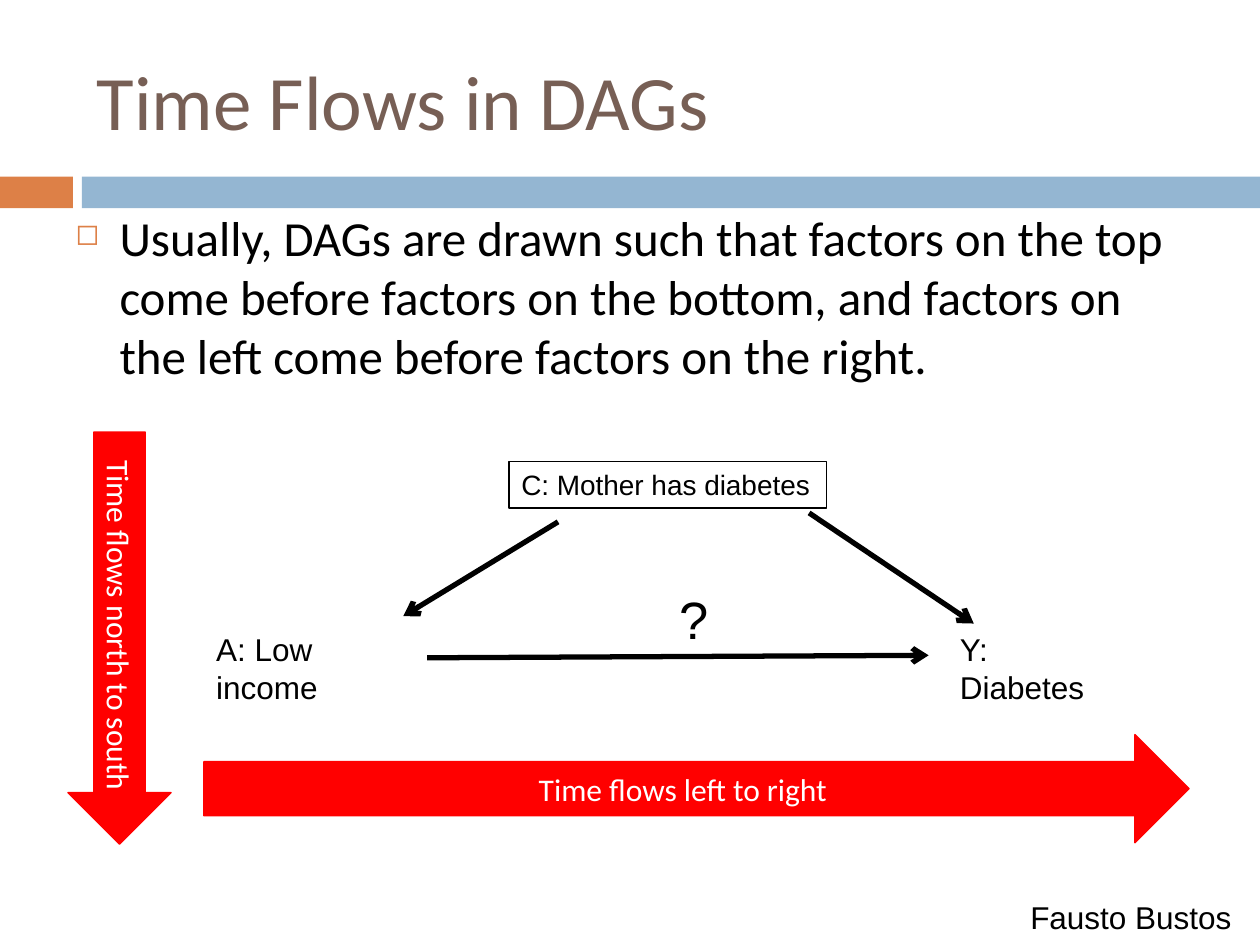
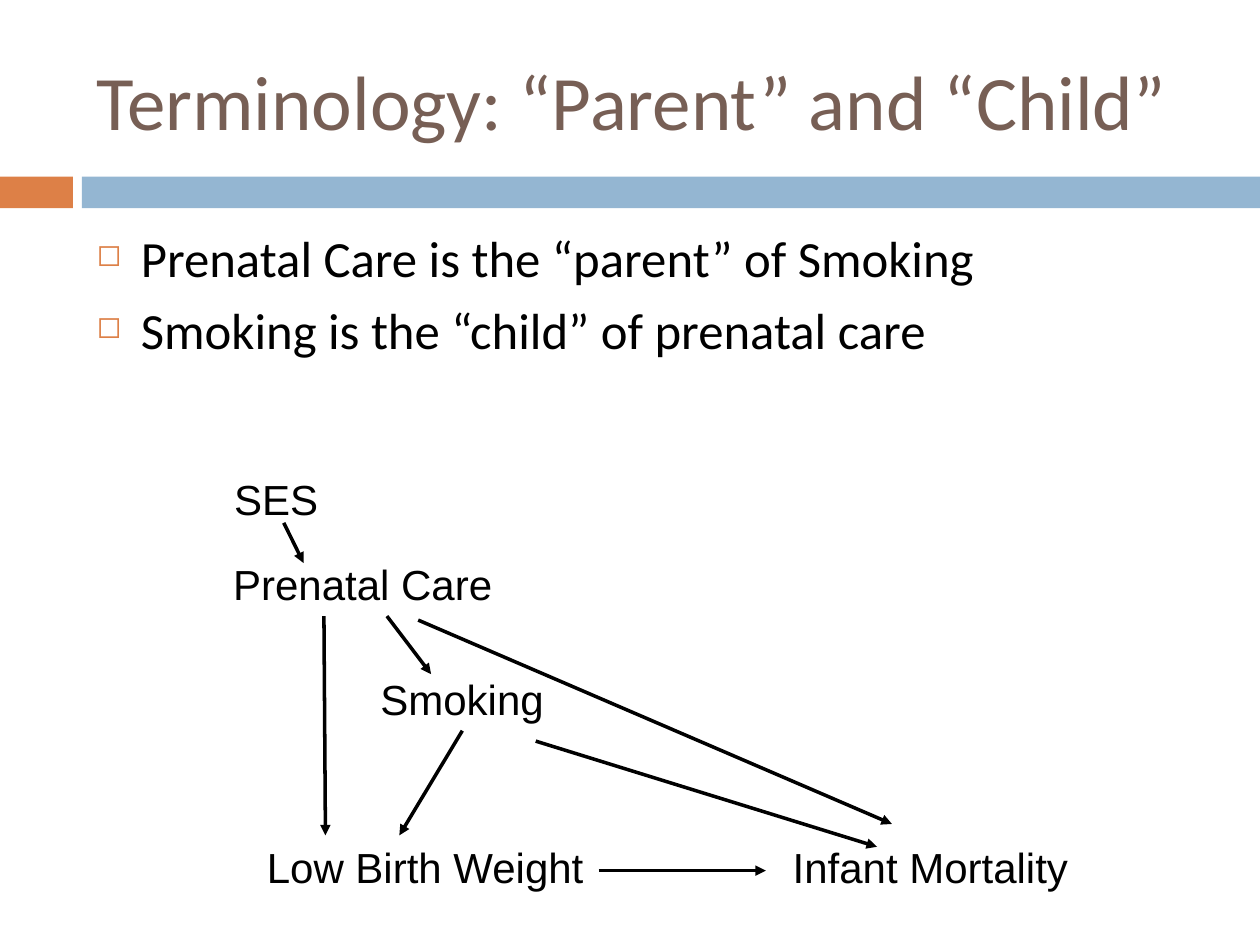
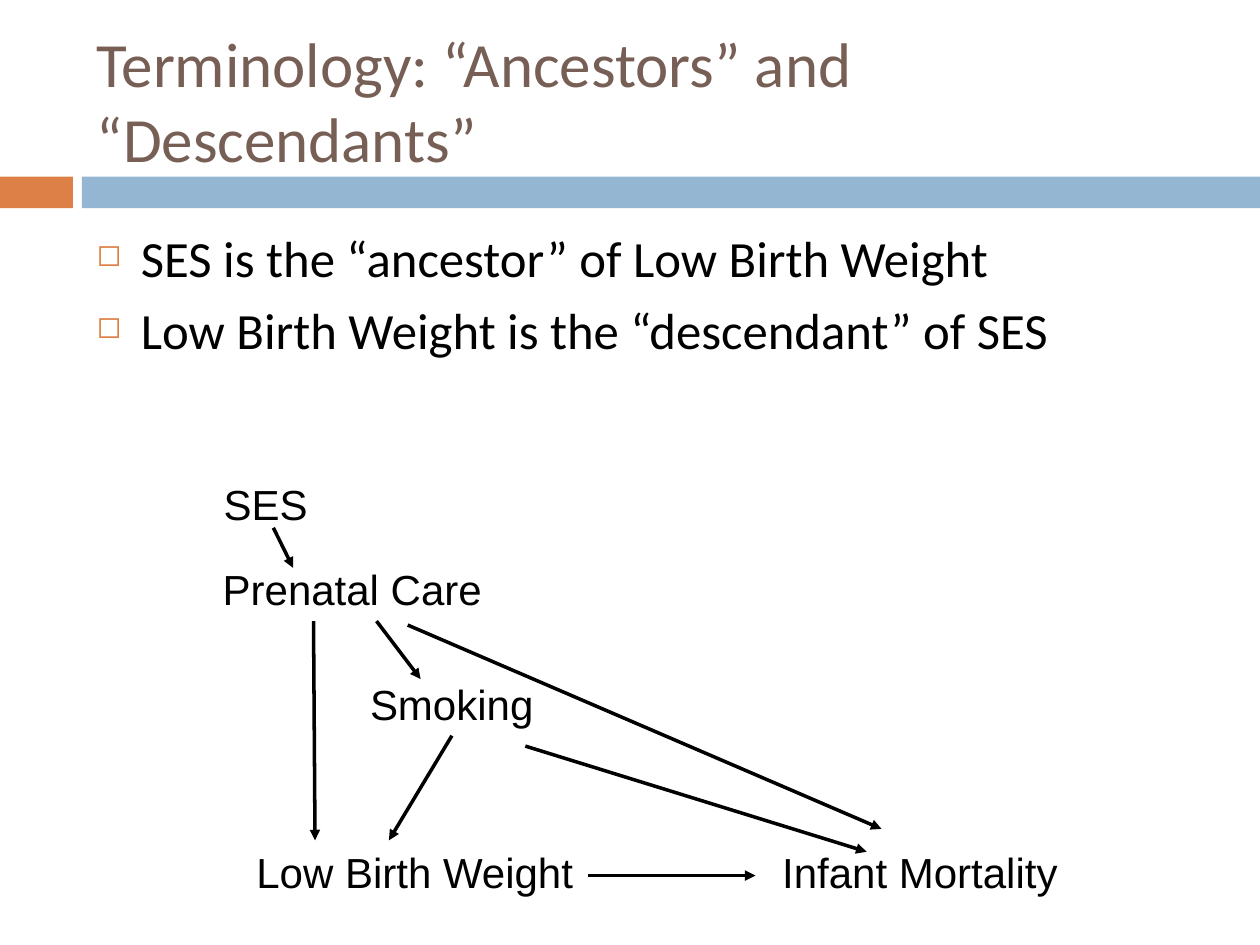
"""Build three slides on time order and family terms in causal diagrams."""
from lxml.etree import SubElement
from pptx import Presentation
from pptx.dml.color import RGBColor
from pptx.enum.shapes import MSO_CONNECTOR, MSO_SHAPE
from pptx.enum.text import MSO_ANCHOR, PP_ALIGN
from pptx.oxml.ns import qn
from pptx.util import Cm, Pt

COLORS = {
    "title": "775F55",
    "orange": "DD8047",
    "blue": "94B6D2",
    "red": "FF0000",
    "black": "000000",
    "white": "FFFFFF",
}
BANDS = [("orange", 0, 1.47), ("blue", 1.65, 23.75)]
TITLE_PLACE = (1.7, 0.64, 22.66, 2.74)
TERMS_PLACE = (1.7, 4.45, 22.66, 3.4)

SLIDES = [
    ("Time Flows in DAGs", 44, (1.27, 4.06, 22.86, 5), 28, [
        "Usually, DAGs are drawn such that factors on the top come before "
        "factors on the bottom, and factors on the left come before factors "
        "on the right."]),
    ("Terminology: “Parent” and “Child”", 44, TERMS_PLACE, 29, [
        "Prenatal Care is the “parent” of Smoking",
        "Smoking is the “child” of prenatal care"]),
    ("Terminology: “Ancestors” and “Descendants”", 36, TERMS_PLACE, 29, [
        "SES is the “ancestor” of Low Birth Weight",
        "Low Birth Weight is the “descendant” of SES"]),
]

TIME_LABELS = [
    ("A: Low income", 18, (4.11, 12.57, 3.05, 1.8)),
    ("Y: Diabetes", 18, (19.1, 12.57, 3.2, 1.8)),
    ("C: Mother has diabetes", 16, (10.26, 9.3, 6.4, 0.94)),
    ("?", 30, (13.44, 11.71, 1.1, 1.55)),
    ("Fausto Bustos", 18, (20.52, 17.98, 4.8, 1.02)),
]
TIME_LINKS = [
    (8.61, 13.26, 18.72, 13.21),
    (11.25, 10.52, 8.13, 12.42),
    (16.31, 10.34, 19.63, 12.57),
]
TIME_ARROWS = [
    ("Time flows north to south", MSO_SHAPE.DOWN_ARROW, "vert",
     (1.37, 8.71, 2.08, 8.31)),
    ("Time flows left to right", MSO_SHAPE.RIGHT_ARROW, "horz",
     (4.11, 14.81, 19.86, 2.18)),
]

FAMILY_LABELS = [
    ("SES", 4.47, 9.42, 2.4),
    ("Prenatal Care", 4.45, 11.13, 6),
    ("Smoking", 7.42, 13.46, 4),
    ("Low Birth Weight", 5.13, 16.84, 7),
    ("Infant Mortality", 15.73, 16.84, 6.4),
]
FAMILY_LINKS = [
    (5.72, 10.54, 6.12, 11.35),
    (6.53, 12.42, 6.56, 16.84),
    (7.8, 12.42, 8.69, 13.59),
    (8.43, 12.5, 17.98, 16.61),
    (9.32, 14.73, 8.05, 16.84),
    (10.8, 14.94, 17.68, 17.07),
    (12.07, 17.55, 15.44, 17.55),
]
FAMILY_SHIFTS = [(0, 0), (-0.21, 0.1)]


def write(shape, lines, size, font="Arial", color="black", anchor=MSO_ANCHOR.TOP):
    frame = shape.text_frame
    frame.text = "\n".join(lines)
    frame.word_wrap = True
    frame.vertical_anchor = anchor
    for paragraph in frame.paragraphs:
        for span in paragraph.runs:
            span.font.name = font
            span.font.size = Pt(size)
            span.font.color.rgb = RGBColor.from_string(COLORS[color])
    return frame


def link(page, ends, width, head):
    connector = page.shapes.add_connector(MSO_CONNECTOR.STRAIGHT, *map(Cm, ends))
    connector.line.width = Pt(width)
    connector.line.color.rgb = RGBColor.from_string(COLORS["black"])
    SubElement(connector.line._get_or_add_ln(), qn("a:tailEnd"), type=head)
    SubElement(connector._element.spPr, qn("a:effectLst"))


deck = Presentation()
deck.slide_width = Cm(25.4)
deck.slide_height = Cm(19.05)
pages = []

for title, title_size, body_place, body_size, bullets in SLIDES:
    page = deck.slides.add_slide(deck.slide_layouts[6])
    pages.append(page)
    for color, left, width in BANDS:
        band = page.shapes.add_shape(
            MSO_SHAPE.RECTANGLE, Cm(left), Cm(3.56), Cm(width), Cm(0.64))
        band.shadow.inherit = False
        band.fill.solid()
        band.fill.fore_color.rgb = RGBColor.from_string(COLORS[color])
        band.line.fill.background()

    box = page.shapes.add_textbox(*map(Cm, TITLE_PLACE))
    write(box, [title], title_size, "Calibri", "title", MSO_ANCHOR.MIDDLE)

    box = page.shapes.add_textbox(*map(Cm, body_place))
    frame = write(box, bullets, body_size, "Calibri")
    for number, paragraph in enumerate(frame.paragraphs):
        if number:
            paragraph.space_before = Pt(6)
        properties = paragraph._p.get_or_add_pPr()
        properties.set("marL", str(Cm(0.89)))
        properties.set("indent", str(-Cm(0.89)))
        bullet_color = SubElement(properties, qn("a:buClr"))
        SubElement(bullet_color, qn("a:srgbClr"), val=COLORS["orange"])
        SubElement(properties, qn("a:buSzPct"), val="60000")
        SubElement(properties, qn("a:buChar"), char="◻")

time_page, *family_pages = pages

for label, size, place in TIME_LABELS:
    box = time_page.shapes.add_textbox(*map(Cm, place))
    write(box, [label], size)
    if label.startswith("C:"):
        box.line.color.rgb = RGBColor.from_string(COLORS["black"])
        box.line.width = Pt(0.75)

for ends in TIME_LINKS:
    link(time_page, ends, 3, "arrow")

for label, preset, direction, place in TIME_ARROWS:
    arrow = time_page.shapes.add_shape(preset, *map(Cm, place))
    arrow.shadow.inherit = False
    arrow.fill.solid()
    arrow.fill.fore_color.rgb = RGBColor.from_string(COLORS["red"])
    arrow.line.color.rgb = RGBColor.from_string(COLORS["red"])
    arrow.line.width = Pt(0.79)
    frame = write(arrow, [label], 18, "Calibri", "white", MSO_ANCHOR.MIDDLE)
    frame.paragraphs[0].alignment = PP_ALIGN.CENTER
    frame._txBody.bodyPr.set("vert", direction)

for page, (right, down) in zip(family_pages, FAMILY_SHIFTS):
    for label, left, top, width in FAMILY_LABELS:
        box = page.shapes.add_textbox(
            Cm(left + right), Cm(top + down), Cm(width), Cm(1.27))
        write(box, [label], 24)
    for x1, y1, x2, y2 in FAMILY_LINKS:
        link(page, (x1 + right, y1 + down, x2 + right, y2 + down), 2, "triangle")

deck.save("out.pptx")
